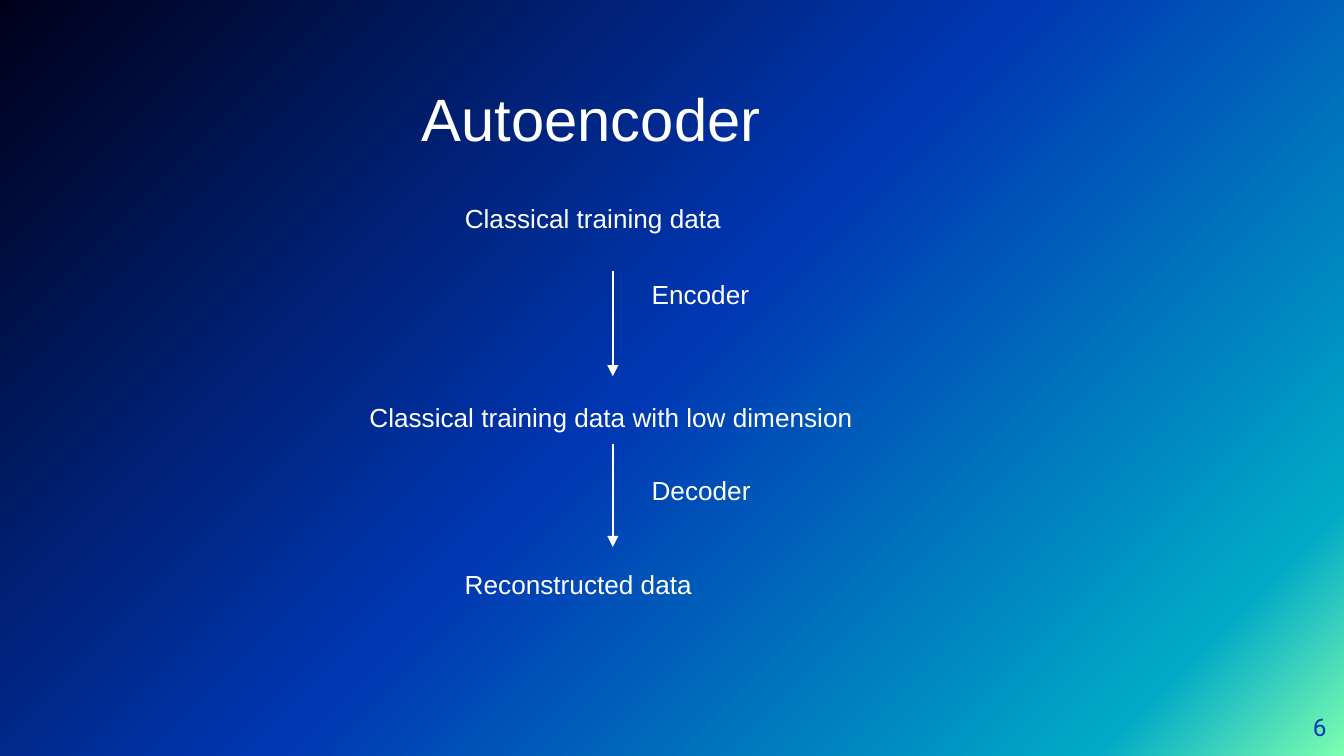
import dataclasses

import pptx
import pptx.dml.color
import pptx.enum.shapes
import pptx.enum.text
import pptx.oxml
import pptx.oxml.ns
import pptx.util

Inches = pptx.util.Inches
Pt = pptx.util.Pt
RGB = pptx.dml.color.RGBColor.from_string
ALIGN = pptx.enum.text.PP_ALIGN
ANCHOR = pptx.enum.text.MSO_ANCHOR


@dataclasses.dataclass(frozen=True)
class Theme:
    text: str = "FFFFFF"
    number: str = "0037B3"
    gradient: tuple = ((0, "7DFFB1"), (12, "00AAC6"), (51, "0037B3"), (100, "00001A"))
    font: str = "Arial"
    number_font: str = "Roboto"
    title_size: int = 32
    body_size: int = 14
    number_size: int = 13
    line_width: float = 0.75


THEME = Theme()
SLIDE_W = Inches(10)
SLIDE_H = SLIDE_W * 9 // 16
ARROW_X = 4.56
SIDE_X = 4.75
ROW_H = 0.34


def set_attrs(obj, values):
    for name, value in values.items():
        setattr(obj, name, value)


def add_background(slide):
    fill = slide.background.fill
    fill.gradient()
    fill.gradient_angle = 135  # counter-clockwise: bottom right to top left
    stops = slide.background._cSld.find(".//" + pptx.oxml.ns.qn("a:gsLst"))
    for stop in list(stops):
        stops.remove(stop)
    for percent, color in THEME.gradient:
        stops.append(pptx.oxml.parse_xml(
            f'<a:gs {pptx.oxml.ns.nsdecls("a")} pos="{percent * 1000}">'
            f'<a:srgbClr val="{color}"/></a:gs>'))


def add_text(slide, text, box, size=THEME.body_size, font=THEME.font,
             color=THEME.text, align=ALIGN.LEFT, **frame):
    """Add one line of text; extra keywords are text frame settings."""
    sp = slide.shapes.add_textbox(*map(Inches, box))
    tf = sp.text_frame
    set_attrs(tf, {"word_wrap": True, **frame})
    p = tf.paragraphs[0]
    p.alignment = align
    r = p.add_run()
    r.text = text
    set_attrs(r.font, {"size": Pt(size), "name": font})
    r.font.color.rgb = RGB(color)


def add_down_arrow(slide, top, bottom):
    line = slide.shapes.add_connector(
        pptx.enum.shapes.MSO_CONNECTOR.STRAIGHT,
        *map(Inches, (ARROW_X, top, ARROW_X, bottom)))
    line.line.width = Pt(THEME.line_width)
    line.line.color.rgb = RGB(THEME.text)
    ln = line.line._get_or_add_ln()
    ln.append(pptx.oxml.parse_xml(
        f'<a:tailEnd {pptx.oxml.ns.nsdecls("a")} type="triangle"/>'))
    ln.getparent().append(pptx.oxml.parse_xml(
        f'<a:effectLst {pptx.oxml.ns.nsdecls("a")}/>'))


def add_slide_number(slide, number):
    margins = dict.fromkeys(
        ("margin_left", "margin_top", "margin_right", "margin_bottom"), 0)
    add_text(slide, number, (9.27, 5.19, 0.6, 0.43), THEME.number_size,
             THEME.number_font, THEME.number, ALIGN.RIGHT,
             vertical_anchor=ANCHOR.MIDDLE, **margins)


def main():
    prs = pptx.Presentation()
    set_attrs(prs, {"slide_width": SLIDE_W, "slide_height": SLIDE_H})
    slide = prs.slides.add_slide(prs.slide_layouts[6])
    add_background(slide)
    add_text(slide, "Autoencoder", (3.04, 0.56, 6.67, 0.64), THEME.title_size)

    for text, left, top, width in (
        ("Classical training data", 3.36, 1.46, 2.12),
        ("Classical training data with low dimension", 2.65, 2.94, 3.82),
        ("Reconstructed data", 3.36, 4.18, 1.9),
    ):
        add_text(slide, text, (left, top, width, ROW_H), word_wrap=False)

    for text, text_top, top, bottom in (
        ("Encoder", 2.02, 2.02, 2.8),
        ("Decoder", 3.48, 3.3, 4.07),
    ):
        add_down_arrow(slide, top, bottom)
        add_text(slide, text, (SIDE_X, text_top, 3.03, ROW_H))

    add_slide_number(slide, "6")
    prs.save("out.pptx")


if __name__ == "__main__":
    main()
